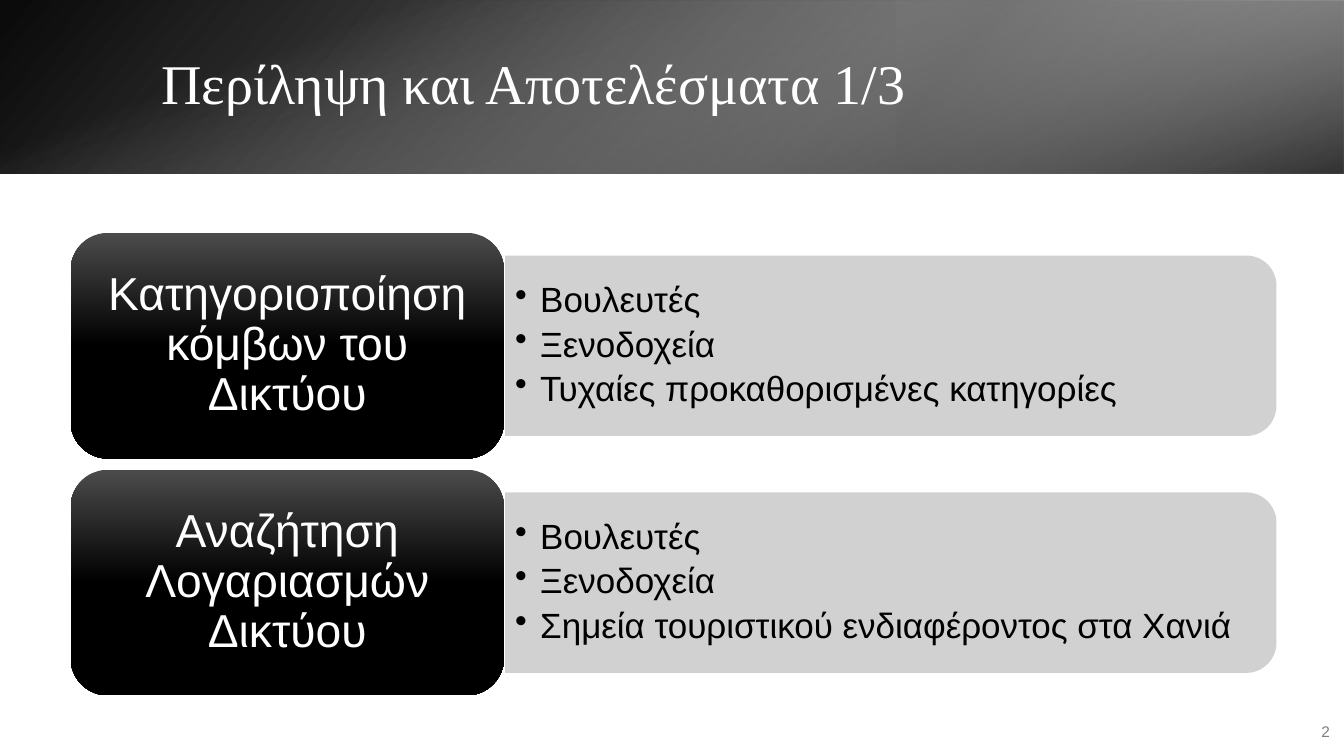
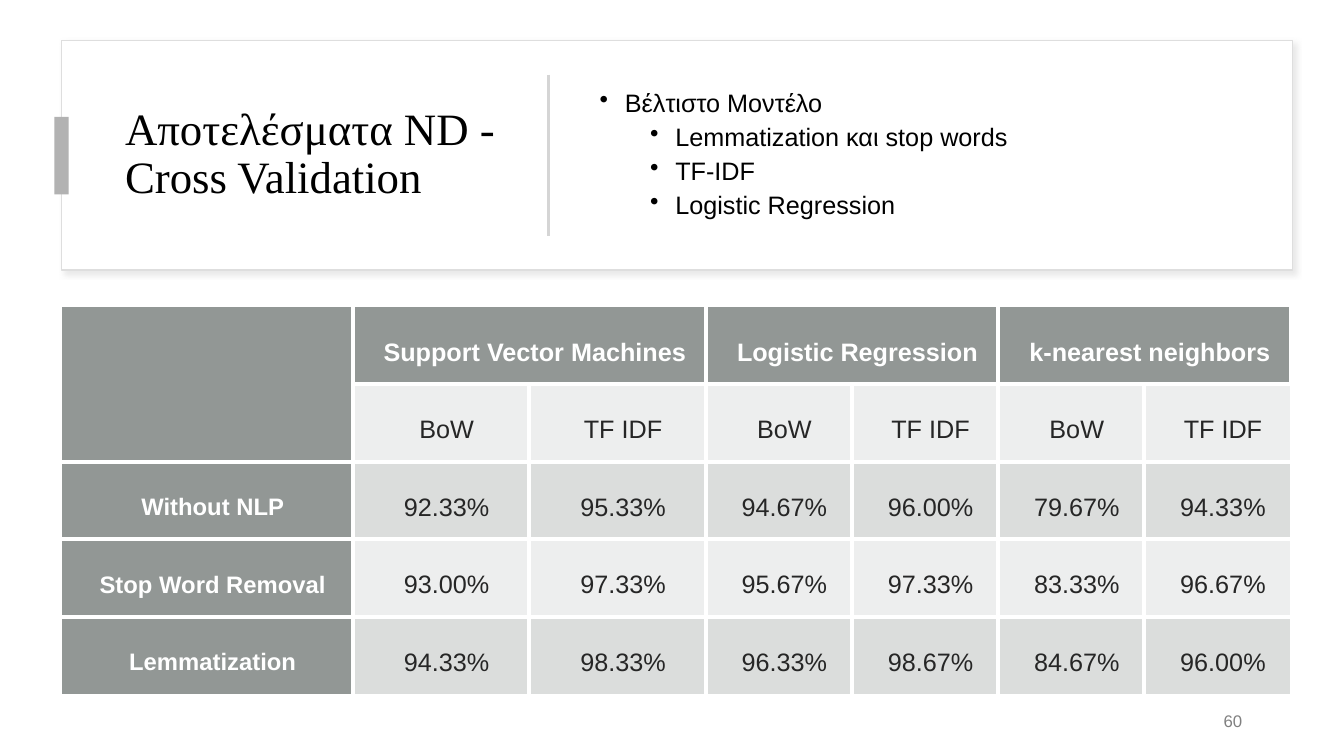
"""Build two slides on classification results: a grouped list and a score table."""
from pptx import Presentation
from pptx.dml.color import RGBColor
from pptx.enum.shapes import MSO_CONNECTOR, MSO_SHAPE
from pptx.enum.text import MSO_ANCHOR, MSO_AUTO_SIZE, PP_ALIGN
from pptx.oxml import parse_xml
from pptx.oxml.ns import nsdecls, qn
from pptx.util import Inches, Pt

SANS, SERIF = "Arial", "Times New Roman"
WHITE = RGBColor(0xFF, 0xFF, 0xFF)
BLACK = RGBColor(0x00, 0x00, 0x00)
INK = RGBColor(0x26, 0x26, 0x26)
GREY = RGBColor(0x80, 0x80, 0x80)
PANEL = RGBColor(0xD1, 0xD1, 0xD1)
EDGE = RGBColor(0xDE, 0xDE, 0xDE)
TAB = RGBColor(0xB2, 0xB2, 0xB2)
RULE = RGBColor(0xD5, 0xD5, 0xD5)
HEAD = RGBColor(0x92, 0x97, 0x95)
PALE = RGBColor(0xED, 0xEE, 0xEE)
MID = RGBColor(0xDB, 0xDD, 0xDC)

GROUPS = [
    ("Κατηγοριοποίηση κόμβων του Δικτύου",
     ["Βουλευτές", "Ξενοδοχεία", "Τυχαίες προκαθορισμένες κατηγορίες"]),
    ("Αναζήτηση Λογαριασμών Δικτύου",
     ["Βουλευτές", "Ξενοδοχεία", "Σημεία τουριστικού ενδιαφέροντος στα Χανιά"]),
]
BANDS = [
    ((0, 0, 13.33, 1.72), 0, True, 140, [(0, "000000", 96), (100, "A6A6A6", 100)]),
    ((8.89, 0, 4.44, 1.72), 180, True, 320, [(19, "6E6E6E", 68), (100, "DDDDDD", 79)]),
    ((5.8, -5.8, 1.72, 13.33), 90, False, 340, [(23, "DDDDDD", 0), (99, "000000", 74)]),
]
GLOSS = [(0, "4B4B4B", 100), (50, "000000", 100), (100, "000000", 100)]
BEST = [("Βέλτιστο Μοντέλο", 0), ("Lemmatization και stop words", 1),
        ("TF-IDF", 1), ("Logistic Regression", 1)]
MODELS = ["Support Vector Machines", "Logistic Regression", "k-nearest neighbors"]
SCORES = [
    ("Without NLP", "92.33%", "95.33%", "94.67%", "96.00%", "79.67%", "94.33%"),
    ("Stop Word Removal", "93.00%", "97.33%", "95.67%", "97.33%", "83.33%", "96.67%"),
    ("Lemmatization", "94.33%", "98.33%", "96.33%", "98.67%", "84.67%", "96.00%"),
]
COLS = [2.89, 1.75, 1.75, 1.45, 1.45, 1.45, 1.45]


def style(par, size, color, font=SANS, bold=False, align=PP_ALIGN.LEFT, space=0.9):
    par.alignment = align
    par.line_spacing = space
    for run in par.runs:
        run.font.name, run.font.size, run.font.bold = font, Pt(size), bold
        run.font.color.rgb = color


def shape(slide, kind, at, fill=None, line=None):
    item = slide.shapes.add_shape(kind, *map(Inches, at))
    item.shadow.inherit = False
    if fill is not None:
        item.fill.solid()
        item.fill.fore_color.rgb = fill
    if line is None:
        item.line.fill.background()
    else:
        item.line.color.rgb = line
        item.line.width = Pt(1)
    return item


def blend(item, stops, angle):
    item.fill.gradient()
    props = item._element.spPr
    marks = "".join(
        f'<a:gs pos="{pos * 1000}"><a:srgbClr val="{color}">'
        f'<a:alpha val="{alpha * 1000}"/></a:srgbClr></a:gs>'
        for pos, color, alpha in stops)
    props.replace(props.find(qn("a:gradFill")), parse_xml(
        f'<a:gradFill {nsdecls("a")} rotWithShape="1"><a:gsLst>{marks}</a:gsLst>'
        f'<a:lin ang="{angle * 60000}" scaled="0"/></a:gradFill>'))


def textbox(slide, at):
    frame = slide.shapes.add_textbox(*map(Inches, at)).text_frame
    frame.word_wrap = True
    frame.vertical_anchor = MSO_ANCHOR.MIDDLE
    return frame


def bullets(slide, at, items, size, before=0, after=0):
    frame = textbox(slide, at)
    frame.text = "\n".join(text for text, _ in items)
    for i, (par, (_, level)) in enumerate(zip(frame.paragraphs, items)):
        props = par._p.get_or_add_pPr()
        props.set("marL", str(Inches(0.25 + 0.5 * level)))
        props.set("indent", str(Inches(-0.25)))
        props.append(parse_xml(f'<a:buChar {nsdecls("a")} char="•"/>'))
        style(par, size, BLACK)
        par.space_before = Pt(before if i else 0)
        par.space_after = Pt(after)


def title(slide, text, at, size, color):
    item = slide.shapes.title
    slide.shapes._spTree.append(item._element)
    item.left, item.top, item.width, item.height = map(Inches, at)
    frame = item.text_frame
    frame.text = text
    frame.auto_size = MSO_AUTO_SIZE.NONE
    frame.vertical_anchor = MSO_ANCHOR.MIDDLE
    style(frame.paragraphs[0], size, color, SERIF)


def number(slide, text, at, size):
    frame = textbox(slide, at)
    frame.text = text
    style(frame.paragraphs[0], size, GREY, align=PP_ALIGN.RIGHT, space=1.0)


def summary(slide):
    for at, turn, flip, angle, stops in BANDS:
        band = shape(slide, MSO_SHAPE.RECTANGLE, at)
        blend(band, stops, angle)
        band.rotation = turn
        if flip:
            band._element.spPr.xfrm.set("flipH", "1")
    title(slide, "Περίληψη και Αποτελέσματα 1/3", (1.5, 0.38, 10.98, 0.96), 40, WHITE)
    wide, high, left = 7.65, 1.79, 5.01
    for i, (name, items) in enumerate(GROUPS):
        top = 2.31 + 2.35 * i
        mid = top + 1.12
        panel = shape(slide, MSO_SHAPE.ROUND_2_SAME_RECTANGLE,
                      (left + (wide - high) / 2, mid - wide / 2, high, wide), PANEL)
        panel.rotation = 90
        bullets(slide, (left, mid - 0.8, 7.56, 1.6), [(text, 0) for text in items],
                25, after=4.8)
        block = shape(slide, MSO_SHAPE.ROUNDED_RECTANGLE, (0.7, top, 4.3, 2.24))
        blend(block, GLOSS, 90)
        frame = block.text_frame
        frame.text = name
        frame.word_wrap = True
        frame.vertical_anchor = MSO_ANCHOR.MIDDLE
        frame.margin_left = frame.margin_right = Inches(0.25)
        style(frame.paragraphs[0], 33, WHITE, align=PP_ALIGN.CENTER)
    number(slide, "2", (12.8, 7.06, 0.49, 0.4), 11)


def border(cell, sides):
    props = cell._tc.get_or_add_tcPr()
    for side in sides:
        props.append(parse_xml(
            f'<a:ln{side} {nsdecls("a")} w="{Pt(3)}"><a:solidFill>'
            f'<a:srgbClr val="{WHITE}"/></a:solidFill></a:ln{side}>'))


def scores(slide):
    heads = [text for model in MODELS for text in (model, "")]
    rows = [["", *heads], ["", *["BoW", "TF IDF"] * len(MODELS)], *SCORES]
    frame = slide.shapes.add_table(len(rows), len(COLS), Inches(0.61), Inches(3.04),
                                   Inches(sum(COLS)), Inches(0.74 * len(rows)))
    table = frame.table
    for col, wide in zip(table.columns, COLS):
        col.width = Inches(wide)
    for r, row in enumerate(rows):
        for c, text in enumerate(row):
            cell = table.cell(r, c)
            label = r == 0 or c == 0
            inner = {"L": c > 0, "R": c < len(COLS) - 1, "T": r > 0, "B": r < len(rows) - 1}
            border(cell, [side for side, shown in inner.items() if shown])
            cell.fill.solid()
            cell.fill.fore_color.rgb = HEAD if label else (PALE if r % 2 else MID)
            cell.vertical_anchor = MSO_ANCHOR.MIDDLE
            cell.margin_left = Inches(0.27)
            cell.margin_right = cell.margin_top = cell.margin_bottom = Inches(0.16)
            if text:
                cell.text = text
                style(cell.text_frame.paragraphs[0], 18 if c else 17,
                      WHITE if label else INK, bold=label,
                      align=PP_ALIGN.CENTER, space=1.5)
    table.cell(0, 0).merge(table.cell(1, 0))
    for c in range(1, len(COLS), 2):
        table.cell(0, c).merge(table.cell(0, c + 1))


def results(slide):
    card = shape(slide, MSO_SHAPE.RECTANGLE, (0.61, 0.4, 12.21, 2.28), WHITE, EDGE)
    card._element.spPr.find(qn("a:effectLst")).append(parse_xml(
        f'<a:outerShdw {nsdecls("a")} blurRad="{Pt(4)}" dist="{Pt(3)}" dir="2700000">'
        '<a:srgbClr val="D3D3D3"><a:alpha val="50000"/></a:srgbClr></a:outerShdw>'))
    title(slide, "Αποτελέσματα ND - Cross Validation", (1.14, 0.64, 3.89, 1.8), 32, BLACK)
    shape(slide, MSO_SHAPE.RECTANGLE, (0.54, 1.16, 0.14, 0.77), TAB)
    rule = slide.shapes.add_connector(MSO_CONNECTOR.STRAIGHT, Inches(5.44), Inches(0.74),
                                      Inches(5.44), Inches(2.34))
    rule.line.color.rgb = RULE
    rule.line.width = Pt(1.5)
    rule._element.spPr.append(parse_xml(f'<a:effectLst {nsdecls("a")}/>'))
    bullets(slide, (5.85, 0.64, 6.56, 1.8), BEST, 18, before=5)
    number(slide, "60", (9.42, 6.95, 3, 0.4), 12)
    scores(slide)


def main():
    deck = Presentation()
    deck.slide_width, deck.slide_height = Inches(13.33), Inches(7.5)
    for build in (summary, results):
        build(deck.slides.add_slide(deck.slide_layouts[5]))
    deck.save("out.pptx")


if __name__ == "__main__":
    main()
